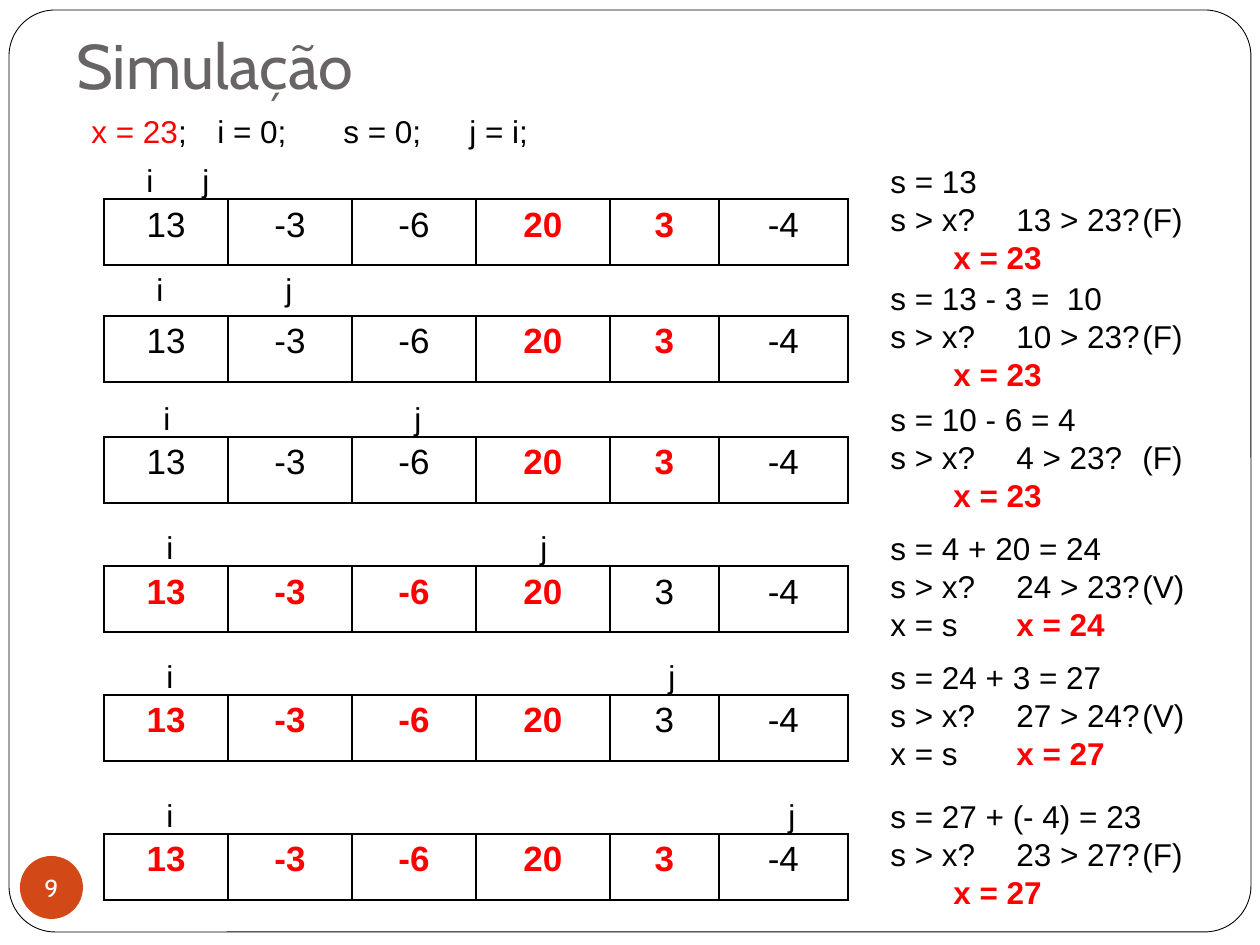
from dataclasses import dataclass

from lxml import etree
from pptx import Presentation
from pptx.dml.color import RGBColor
from pptx.enum import shapes, text
from pptx.oxml import ns
from pptx.util import Emu, Pt

EMU_PER_PX = 914400 / 126
BLACK = RGBColor(0x00, 0x00, 0x00)
WHITE = RGBColor(0xFF, 0xFF, 0xFF)
RED = RGBColor(0xFF, 0x00, 0x00)
GREY = RGBColor(0x69, 0x64, 0x64)
ORANGE = RGBColor(0xD3, 0x48, 0x17)

VALUES = ("13", "-3", "-6", "20", "3", "-4")
COLUMNS = (124, 124, 124, 134, 109, 129)
TABLE_LEFT, ROW_HEIGHT = 104, 66
STATUS_LEFT, STATUS_RISE = 878, 43
BORDERS = ("a:lnL", "a:lnR", "a:lnT", "a:lnB")


@dataclass(frozen=True)
class Run:
    words: str
    color: RGBColor = BLACK
    bold: bool = False
    size: int = 18
    font: str = "Arial"


@dataclass(frozen=True)
class Step:
    top: int  # top of the array
    i_left: int
    j_left: int
    best: range  # cells of the best sum so far
    total: str
    test: str
    update: str
    x: str
    marker_rise: int = 44


STEPS = (
    Step(199, 134, 190, range(3, 5), "s = 13", "13 > 23?\t(F)", "", "x = 23"),
    Step(316, 144, 273, range(3, 5), "s = 13 - 3 =  10", "10 > 23?\t(F)", "", "x = 23", 52),
    Step(437, 151, 402, range(3, 5), "s = 10 - 6 = 4", "4 > 23?\t(F)", "", "x = 23"),
    Step(566, 154, 528, range(0, 4), "s = 4 + 20 = 24", "24 > 23?\t(V)", "x = s", "x = 24"),
    Step(695, 154, 656, range(0, 4), "s = 24 + 3 = 27", "27 > 24?\t(V)", "x = s", "x = 27"),
    Step(834, 154, 776, range(0, 5), "s = 27 + (- 4) = 23", "23 > 27?\t(F)", "", "x = 27"),
)


def px(length: int) -> Emu:
    return Emu(round(length * EMU_PER_PX))


def box(*lengths: int) -> list[Emu]:
    return [px(length) for length in lengths]


def write(paragraph, runs: list[Run]) -> None:
    for part in runs:
        run = paragraph.add_run()
        run.text = part.words
        run.font.color.rgb = part.color
        styles = {"bold": part.bold, "size": Pt(part.size), "name": part.font}
        for name, value in styles.items():
            setattr(run.font, name, value)


def add_text(slide, place: list[Emu], lines: list[list[Run]], **frame_format) -> None:
    frame = slide.shapes.add_textbox(*place).text_frame
    settings = {"word_wrap": False, "auto_size": text.MSO_AUTO_SIZE.SHAPE_TO_FIT_TEXT}
    for name, value in (settings | frame_format).items():
        setattr(frame, name, value)
    for number, runs in enumerate(lines):
        write(frame.add_paragraph() if number else frame.paragraphs[0], runs)


def add_borders(cell) -> None:
    properties = cell._tc.get_or_add_tcPr()
    for position, tag in enumerate(BORDERS):
        line = etree.Element(ns.qn(tag), w=str(Pt(1)))
        fill = etree.SubElement(line, ns.qn("a:solidFill"))
        etree.SubElement(fill, ns.qn("a:srgbClr"), val=str(BLACK))
        properties.insert(position, line)


def add_array(slide, step: Step) -> None:
    place = box(TABLE_LEFT, step.top, sum(COLUMNS), ROW_HEIGHT)
    table = slide.shapes.add_table(1, len(VALUES), *place).table
    table.first_row = table.horz_banding = False
    for column, (value, width) in enumerate(zip(VALUES, COLUMNS)):
        table.columns[column].width = px(width)
        cell = table.cell(0, column)
        cell.fill.background()
        add_borders(cell)
        paragraph = cell.text_frame.paragraphs[0]
        paragraph.alignment = text.PP_ALIGN.CENTER
        marked = column in step.best
        write(paragraph, [Run(value, RED if marked else BLACK, marked, 20)])


def add_step(slide, step: Step) -> None:
    add_array(slide, step)
    for index, left in (("i", step.i_left), ("j", step.j_left)):
        add_text(slide, box(left, step.top - step.marker_rise, 33, 50), [[Run(index)]])
    status = [
        [Run(step.total)],
        [Run(f"s > x? \t{step.test}")],
        [Run(f"{step.update}\t"), Run(step.x, RED, True)],
    ]
    add_text(slide, box(STATUS_LEFT, step.top - STATUS_RISE, 338, 127), status, word_wrap=True)


def add_panel(slide, kind, place: list[Emu], color: RGBColor):
    panel = slide.shapes.add_shape(kind, *place)
    panel.shadow.inherit = False
    panel.fill.solid()
    panel.fill.fore_color.rgb = color
    panel.line.fill.background()
    return panel


def main() -> None:
    deck = Presentation()
    deck.slide_width, deck.slide_height = box(1260, 945)
    slide = deck.slides.add_slide(deck.slide_layouts[6])

    # Frame
    frame = add_panel(slide, shapes.MSO_SHAPE.ROUNDED_RECTANGLE, box(9, 10, 1242, 922), WHITE)
    frame.adjustments[0] = 0.05
    frame.line.color.rgb = BLACK
    frame.line.width = Pt(0.5)

    # Title
    add_text(slide, box(64, 38, 1133, 77), [[Run("Simulação", GREY, size=36, font="Cabin")]],
             word_wrap=True, auto_size=text.MSO_AUTO_SIZE.NONE,
             vertical_anchor=text.MSO_ANCHOR.BOTTOM, margin_bottom=Pt(7.2))

    # Page number
    badge = add_panel(slide, shapes.MSO_SHAPE.OVAL, box(20, 856, 63, 63), ORANGE)
    number = badge.text_frame
    for side in ("left", "top", "right", "bottom"):
        setattr(number, f"margin_{side}", 0)
    number.word_wrap = False
    number.vertical_anchor = text.MSO_ANCHOR.MIDDLE
    number.paragraphs[0].alignment = text.PP_ALIGN.CENTER
    write(number.paragraphs[0], [Run("9", WHITE, size=14, font="Cabin")])

    # Starting values
    start = [Run("\t"), Run("x = 23", RED), Run("; \ti = 0;\ts = 0;\tj = i;")]
    add_text(slide, box(16, 106, 593, 50), [start])

    # Steps of the simulation
    for step in STEPS:
        add_step(slide, step)

    deck.save("out.pptx")


if __name__ == "__main__":
    main()
